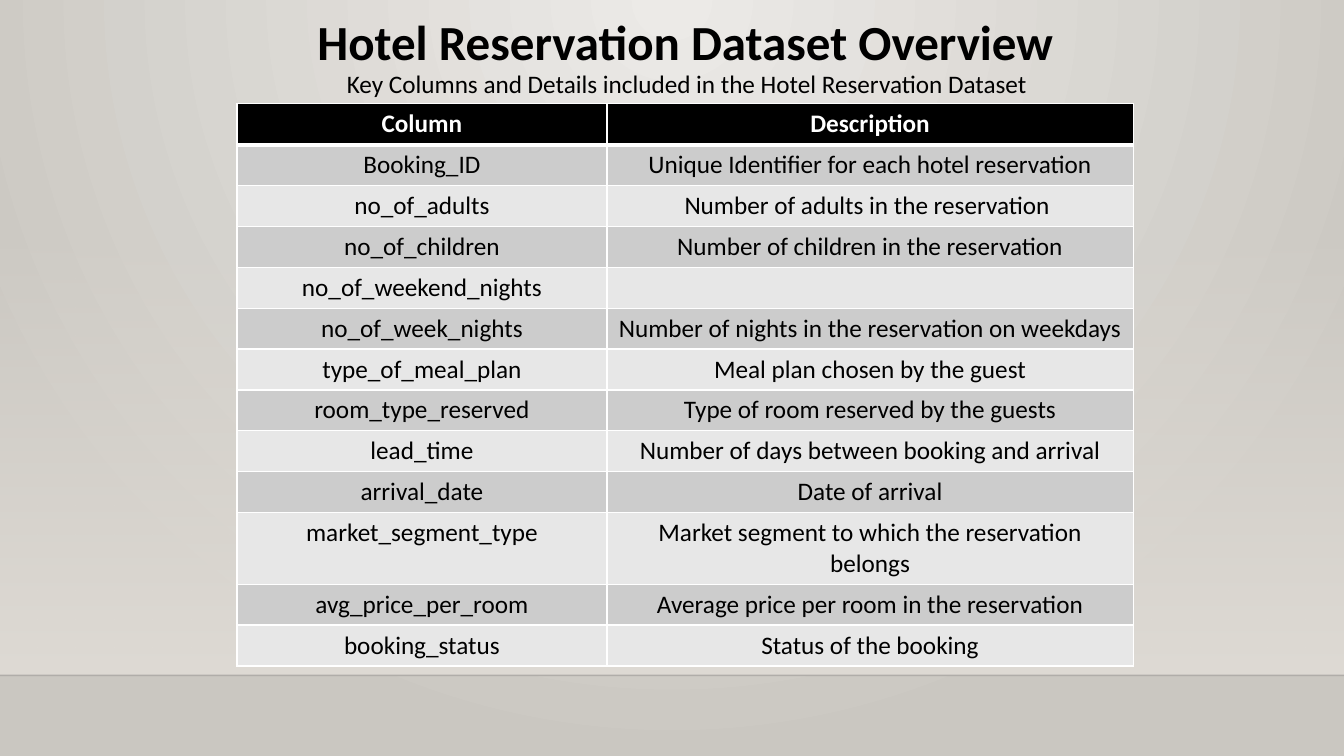
from lxml.etree import SubElement, fromstring
from pptx import Presentation
from pptx.dml.color import RGBColor as RGB
from pptx.enum.shapes import MSO_CONNECTOR as LINE, MSO_SHAPE as SHAPE
from pptx.enum.text import MSO_ANCHOR as ANCHOR, MSO_AUTO_SIZE as FIT, PP_ALIGN as ALIGN
from pptx.oxml.ns import qn
from pptx.util import Inches, Pt

HEAD = "Hotel Reservation Dataset Overview"
SUB = "Key Columns and Details included in the Hotel Reservation Dataset"
ROWS = [
    ("Column", "Description"),
    ("Booking_ID", "Unique Identifier for each hotel reservation"),
    ("no_of_adults", "Number of adults in the reservation "),
    ("no_of_children", "Number of children in the reservation"),
    ("no_of_weekend_nights", ""),
    ("no_of_week_nights", "Number of nights in the reservation on weekdays"),
    ("type_of_meal_plan", "Meal plan chosen by the guest"),
    ("room_type_reserved", "Type of room reserved by the guests"),
    ("lead_time", "Number of days between booking and arrival"),
    ("arrival_date", "Date of arrival"),
    ("market_segment_type", "Market segment to which the reservation belongs"),
    ("avg_price_per_room", "Average price per room in the reservation"),
    ("booking_status", "Status of the booking"),
]
FONT = "Calibri"
BLACK = RGB(0, 0, 0)
WHITE = RGB(255, 255, 255)
DARK = RGB(0xCC, 0xCC, 0xCC)
LIGHT = RGB(0xE7, 0xE7, 0xE7)
GLOW = RGB(0xEC, 0xEA, 0xE7)
EDGE = RGB(0xCA, 0xC7, 0xC1)
SAND = RGB(0xDF, 0xDB, 0xD5)
RULE = RGB(0, 0, 1)

WIDE, HIGH = 13.33, 7.5
FLOOR = 6.7
TOP = 2.21
COLS = (3.67, 5.22)
LEFT, START = 2.35, 1.03
TALL = 0.7
STEP = (5.57 - TALL) / (len(ROWS) - 1)
NS = "http://schemas.openxmlformats.org/drawingml/2006/main"


def blend(fill, stops, way):
    fill.gradient()
    grad = fill._xPr.find(qn("a:gradFill"))
    marks = "".join(
        f'<a:gs pos="{pos * 1000}"><a:srgbClr val="{tint}">'
        f'<a:alpha val="{clear * 1000}"/></a:srgbClr></a:gs>'
        for pos, tint, clear in stops)
    new = fromstring(f'<a:gradFill xmlns:a="{NS}" rotWithShape="1">'
                     f'<a:gsLst>{marks}</a:gsLst>{way}</a:gradFill>')
    grad.getparent().replace(grad, new)


def write(frame, text, size, tint, bold=False, align=ALIGN.CENTER):
    par = frame.paragraphs[0]
    par.alignment = align
    if text:
        run = par.add_run()
        run.text = text
        font = run.font
        font.name, font.size, font.bold = FONT, Pt(size), bold
        font.color.rgb = tint


def place(item, box):
    item.left, item.top, item.width, item.height = map(Inches, box)
    frame = item.text_frame
    frame.word_wrap = True
    frame.auto_size = FIT.NONE
    frame.vertical_anchor = ANCHOR.TOP
    par = frame.paragraphs[0]
    par.space_before = Pt(0)
    par.line_spacing = 1.0
    return frame


def border(cell, low):
    props = cell._tc.get_or_add_tcPr()
    for spot, (side, size) in enumerate(zip("LRTB", (1, 1, 1, low))):
        line = fromstring(
            f'<a:ln{side} xmlns:a="{NS}" w="{Pt(size)}"><a:solidFill>'
            f'<a:srgbClr val="{WHITE}"/></a:solidFill></a:ln{side}>')
        props.insert(spot, line)


def main():
    deck = Presentation()
    deck.slide_width, deck.slide_height = Inches(WIDE), Inches(HIGH)
    slide = deck.slides.add_slide(deck.slide_layouts[0])
    shapes = slide.shapes
    title, sub = slide.placeholders

    blend(slide.background.fill, [(0, GLOW, 100), (100, EDGE, 100)],
          '<a:path path="circle"><a:fillToRect l="43000" t="0" '
          'r="43000" b="100000"/></a:path>')

    wall = shapes.add_shape(SHAPE.RECTANGLE, 0, Inches(TOP),
                            Inches(WIDE), Inches(FLOOR - TOP))
    wall.shadow.inherit = False
    wall.line.fill.background()
    blend(wall.fill, [(0, SAND, 0), (100, SAND, 100)],
          '<a:lin ang="5400000" scaled="0"/>')

    seam = shapes.add_connector(LINE.STRAIGHT, 0, Inches(FLOOR),
                                Inches(WIDE), Inches(FLOOR))
    seam.line.color.rgb = RULE
    seam.line.width = Pt(1)
    tint = seam.line._ln.find(".//" + qn("a:srgbClr"))
    SubElement(tint, qn("a:alpha")).set("val", "20000")
    SubElement(seam._element.spPr, qn("a:effectLst"))
    for back in (wall, seam):
        title._element.addprevious(back._element)

    write(place(title, (2.09, 0.06, 9.42, 0.69)), HEAD, 35, BLACK, True)
    write(place(sub, (3.34, 0.63, 7.26, 0.4)), SUB, 18, BLACK, align=ALIGN.LEFT)

    grid = shapes.add_table(len(ROWS), len(COLS), Inches(LEFT), Inches(START),
                            Inches(sum(COLS)), Inches(STEP * len(ROWS))).table
    for col, wide in zip(grid.columns, COLS):
        col.width = Inches(wide)
    for r, row in enumerate(ROWS):
        grid.rows[r].height = Inches(STEP)
        top = r == 0
        for c, text in enumerate(row):
            cell = grid.cell(r, c)
            cell.fill.solid()
            cell.fill.fore_color.rgb = BLACK if top else DARK if r % 2 else LIGHT
            write(cell.text_frame, text, 18, WHITE if top else BLACK, top)
            border(cell, 3 if top else 1)
    deck.save("out.pptx")


if __name__ == "__main__":
    main()
